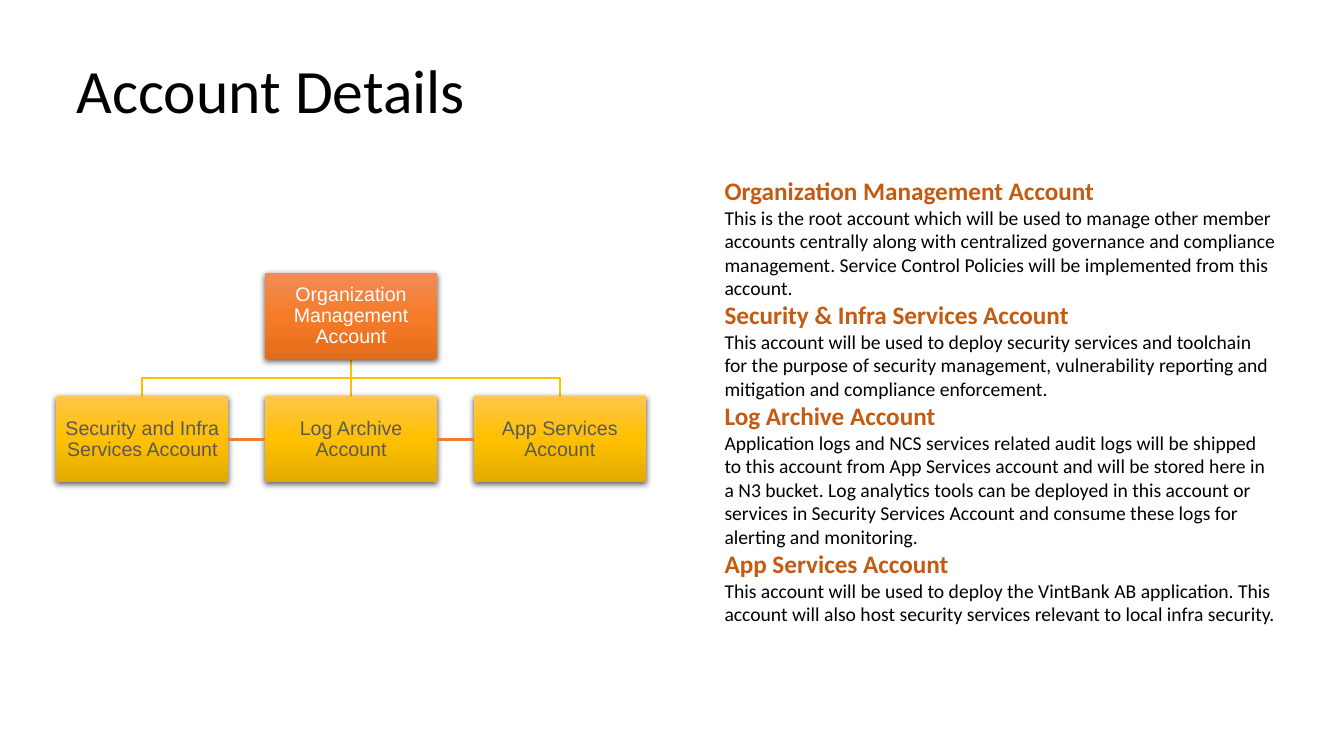
from lxml import etree
from pptx import Presentation
from pptx.dml.color import RGBColor
from pptx.enum.shapes import MSO_CONNECTOR as Connector, MSO_SHAPE as Shape
from pptx.enum.text import MSO_ANCHOR as Anchor, MSO_AUTO_SIZE as AutoSize, PP_ALIGN as Align
from pptx.oxml import parse_xml
from pptx.oxml.ns import qn
from pptx.util import Cm, Pt

BLACK = RGBColor(0x00, 0x00, 0x00)
WHITE = RGBColor(0xFF, 0xFF, 0xFF)
GREY = RGBColor(0x59, 0x59, 0x59)
RUST = RGBColor(0xC5, 0x5A, 0x11)
ORANGE = RGBColor(0xED, 0x7D, 0x31)
GOLD = RGBColor(0xFF, 0xC0, 0x00)
ORANGE_GRADIENT = (RGBColor(0xF1, 0x8C, 0x57), RGBColor(0xF6, 0x7B, 0x28), RGBColor(0xE5, 0x6C, 0x19))
GOLD_GRADIENT = (RGBColor(0xFF, 0xC6, 0x4B), GOLD, RGBColor(0xE3, 0xAB, 0x00))

DRAWING_NS = 'xmlns:a="http://schemas.openxmlformats.org/drawingml/2006/main"'
TOP, LEFT, BOTTOM, RIGHT = range(4)

# Organisation chart grid
BOX_WIDTH, BOX_HEIGHT = Cm(4.34), Cm(2.18)
COLUMNS = [Cm(1.42 + 5.26 * column) for column in range(3)]
ROOT_TOP, MEMBER_TOP = Cm(6.88), Cm(9.98)
MEMBERS = ["Security and Infra Services Account", "Log Archive Account", "App Services Account"]

DETAILS = [
    ("Organization Management Account",
     "This is the root account which will be used to manage other member accounts centrally "
     "along with centralized governance and compliance management. Service Control Policies "
     "will be implemented from this account."),
    ("Security & Infra Services Account",
     "This account will be used to deploy security services and toolchain for the purpose of "
     "security management, vulnerability reporting and mitigation and compliance enforcement."),
    ("Log Archive Account",
     "Application logs and NCS services related audit logs will be shipped to this account from "
     "App Services account and will be stored here in a N3 bucket. Log analytics tools can be "
     "deployed in this account or services in Security Services Account and consume these logs "
     "for alerting and monitoring."),
    ("App Services Account",
     "This account will be used to deploy the VintBank AB application. This account will also "
     "host security services relevant to local infra security."),
]


def write(paragraph, text, size, color, font="Calibri", bold=False, align=Align.LEFT, spacing=1.0):
    paragraph.alignment = align
    paragraph.line_spacing = spacing
    run = paragraph.add_run()
    run.text = text
    run.font.name = font
    run.font.size = Pt(size)
    run.font.bold = bold
    run.font.color.rgb = color


def place(shape, left, top, width, height):
    shape.left, shape.top, shape.width, shape.height = left, top, width, height


def add_title(slide, text):
    title = slide.shapes.title
    place(title, Cm(1.68), Cm(1.24), Cm(29.21), Cm(2.24))
    title.text_frame.vertical_anchor = Anchor.MIDDLE
    write(title.text_frame.paragraphs[0], text, size=44, color=BLACK, spacing=0.9)


def add_line(slide, start, end, color, width):
    connector = slide.shapes.add_connector(Connector.STRAIGHT, *start, *end)
    connector.line.color.rgb = color
    connector.line.width = Pt(width)
    etree.SubElement(connector._element.spPr, qn("a:effectLst"))
    return connector


def add_elbow(slide, points):
    builder = slide.shapes.build_freeform(*points[0])
    builder.add_line_segments(points[1:], close=False)
    elbow = builder.convert_to_shape()
    elbow.shadow.inherit = False
    elbow.fill.background()
    elbow.line.color.rgb = GOLD
    elbow.line.width = Pt(1.5)


def style_box(box, colors):
    """Three-stop vertical gradient and a soft shadow below."""
    box.line.fill.background()
    box.shadow.inherit = False
    stops = "".join(f'<a:gs pos="{50000 * index}"><a:srgbClr val="{color}"/></a:gs>'
                    for index, color in enumerate(colors))
    gradient = parse_xml(f'<a:gradFill {DRAWING_NS} rotWithShape="1"><a:gsLst>{stops}</a:gsLst>'
                         '<a:lin ang="5400000" scaled="0"/></a:gradFill>')
    properties = box._element.spPr
    properties.find(qn("a:prstGeom")).addnext(gradient)
    properties.find(qn("a:effectLst")).append(parse_xml(
        f'<a:outerShdw {DRAWING_NS} blurRad="57150" dist="19050" dir="5400000" algn="ctr" '
        'rotWithShape="0"><a:srgbClr val="000000"><a:alpha val="63000"/></a:srgbClr></a:outerShdw>'))


def add_box(slide, left, top, text, colors, text_color):
    box = slide.shapes.add_shape(Shape.RECTANGLE, left, top, BOX_WIDTH, BOX_HEIGHT)
    style_box(box, colors)
    frame = box.text_frame
    frame.word_wrap = True
    frame.vertical_anchor = Anchor.MIDDLE
    frame.margin_left = frame.margin_right = frame.margin_top = frame.margin_bottom = Cm(0.03)
    write(frame.paragraphs[0], text, size=14, color=text_color, font="Arial",
          align=Align.CENTER, spacing=0.9)
    return box


def add_account_chart(slide):
    # Branches behind the boxes
    centers = [left + BOX_WIDTH // 2 for left in COLUMNS]
    root_x, root_bottom = centers[1], ROOT_TOP + BOX_HEIGHT
    middle = (root_bottom + MEMBER_TOP) // 2
    for center in (centers[2], centers[0]):
        add_elbow(slide, [(root_x, root_bottom), (root_x, middle),
                          (center, middle), (center, MEMBER_TOP)])
    stem = add_line(slide, (root_x, root_bottom), (root_x, MEMBER_TOP), GOLD, 1.5)

    # Account boxes
    root = add_box(slide, COLUMNS[1], ROOT_TOP, "Organization Management Account",
                   ORANGE_GRADIENT, WHITE)
    members = [add_box(slide, left, MEMBER_TOP, name, GOLD_GRADIENT, GREY)
               for left, name in zip(COLUMNS, MEMBERS)]
    stem.begin_connect(root, BOTTOM)
    stem.end_connect(members[1], TOP)

    # Links between neighbouring members
    link_y = MEMBER_TOP + BOX_HEIGHT // 2
    for first, second in zip(members, members[1:]):
        link = add_line(slide, (first.left + BOX_WIDTH, link_y), (second.left, link_y), ORANGE, 2.25)
        link.begin_connect(first, RIGHT)
        link.end_connect(second, LEFT)


def add_details(slide):
    frame = slide.shapes.add_textbox(Cm(18.01), Cm(4.29), Cm(14.43), Cm(12.32)).text_frame
    frame.word_wrap = True
    frame.auto_size = AutoSize.SHAPE_TO_FIT_TEXT
    for index, (heading, description) in enumerate(DETAILS):
        paragraph = frame.add_paragraph() if index else frame.paragraphs[0]
        write(paragraph, heading, size=18, color=RUST, bold=True)
        write(frame.add_paragraph(), description, size=14, color=BLACK)


def main():
    presentation = Presentation()
    presentation.slide_width, presentation.slide_height = Cm(33.87), Cm(19.05)
    slide = presentation.slides.add_slide(presentation.slide_layouts[5])
    add_title(slide, "Account Details")
    add_account_chart(slide)
    add_details(slide)
    presentation.save("out.pptx")


if __name__ == "__main__":
    main()
